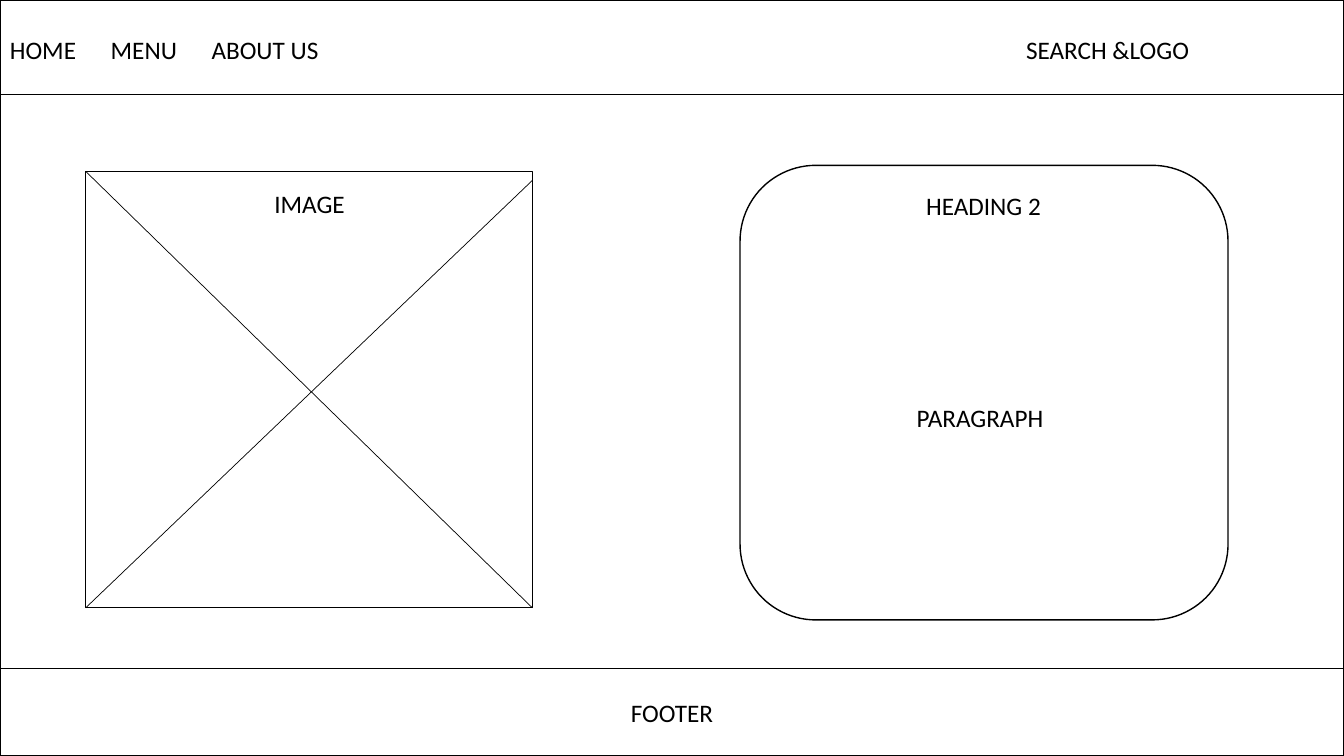
from dataclasses import dataclass

from lxml import etree
from pptx import Presentation
from pptx.dml.color import RGBColor
from pptx.enum.shapes import MSO_CONNECTOR, MSO_SHAPE
from pptx.enum.text import MSO_ANCHOR, PP_ALIGN
from pptx.oxml.ns import qn
from pptx.util import Inches, Pt

RECTANGLE = MSO_SHAPE.RECTANGLE
ROUNDED = MSO_SHAPE.ROUNDED_RECTANGLE
STRAIGHT = MSO_CONNECTOR.STRAIGHT
LEFT, CENTER = PP_ALIGN.LEFT, PP_ALIGN.CENTER
TOP, MIDDLE = MSO_ANCHOR.TOP, MSO_ANCHOR.MIDDLE
BLANK_LAYOUT = 6


@dataclass(frozen=True)
class Theme:
    """Colours, type and line widths of the wireframe."""
    ink: RGBColor = RGBColor(0, 0, 0)
    font: str = "Calibri"
    label_size: Pt = Pt(18)
    frame_width: Pt = Pt(1)
    diagonal_width: Pt = Pt(0.5)


THEME = Theme()
PAGE_WIDTH, PAGE_HEIGHT = 13.33, 7.5
HEADER_HEIGHT = 0.94
FOOTER_TOP = 6.63


def write_label(frame, text, align, anchor):
    """Fill a text frame with one label."""
    frame.word_wrap = True
    frame.vertical_anchor = anchor
    paragraph = frame.paragraphs[0]
    paragraph.alignment = align
    run = paragraph.add_run()
    run.text = text
    run.font.name = THEME.font
    run.font.size = THEME.label_size
    run.font.color.rgb = THEME.ink


def add_frame(slide, left, top, width, height, outline=RECTANGLE):
    """Add an unfilled, outlined wireframe block."""
    block = slide.shapes.add_shape(
        outline, Inches(left), Inches(top), Inches(width), Inches(height))
    block.shadow.inherit = False
    block.fill.background()
    block.line.color.rgb = THEME.ink
    block.line.width = THEME.frame_width
    return block


def add_label(slide, text, left, top, width, height, align=CENTER, anchor=TOP):
    """Add a free-standing label."""
    label = slide.shapes.add_textbox(
        Inches(left), Inches(top), Inches(width), Inches(height))
    write_label(label.text_frame, text, align, anchor)


def add_diagonal(slide, x1, y1, x2, y2):
    """Add a thin line across the image block."""
    diagonal = slide.shapes.add_connector(
        STRAIGHT, Inches(x1), Inches(y1), Inches(x2), Inches(y2))
    diagonal.line.color.rgb = THEME.ink
    diagonal.line.width = THEME.diagonal_width
    etree.SubElement(diagonal._element.spPr, qn("a:effectLst"))


def add_header(slide):
    """Add the navigation bar."""
    add_frame(slide, 0, 0, PAGE_WIDTH, HEADER_HEIGHT)
    add_label(slide, "HOME\tMENU\tABOUT US", 0, 0.21, PAGE_WIDTH, 0.57,
              LEFT, MIDDLE)
    add_label(slide, "SEARCH &LOGO", 8.63, 0.21, 4.71, 0.57, anchor=MIDDLE)


def add_footer(slide):
    """Add the footer bar."""
    footer = add_frame(slide, 0, FOOTER_TOP, PAGE_WIDTH,
                       PAGE_HEIGHT - FOOTER_TOP)
    write_label(footer.text_frame, "FOOTER", CENTER, MIDDLE)


def add_article(slide):
    """Add the rounded block with its heading and paragraph."""
    add_frame(slide, 7.34, 1.64, 4.84, 4.51, ROUNDED)
    add_label(slide, "HEADING 2", 8.75, 1.84, 2.01, 0.4)
    add_label(slide, "PARAGRAPH", 7.49, 2.53, 4.46, 3.22, anchor=MIDDLE)


def add_image_block(slide):
    """Add the crossed block that stands for an image."""
    left, top, width, height = 0.85, 1.7, 4.43, 4.33
    right, bottom = left + width, top + height
    add_frame(slide, left, top, width, height)
    add_diagonal(slide, left, top, right, bottom)
    add_diagonal(slide, right, 1.79, left, bottom)
    add_label(slide, "IMAGE", 1.46, 1.82, 3.22, 0.4)


def main():
    """Build the wireframe slide and save it."""
    deck = Presentation()
    deck.slide_width = Inches(PAGE_WIDTH)
    deck.slide_height = Inches(PAGE_HEIGHT)
    slide = deck.slides.add_slide(deck.slide_layouts[BLANK_LAYOUT])
    add_frame(slide, 0, 0, PAGE_WIDTH, PAGE_HEIGHT)
    add_header(slide)
    add_footer(slide)
    add_image_block(slide)
    add_article(slide)
    deck.save("out.pptx")


if __name__ == "__main__":
    main()
